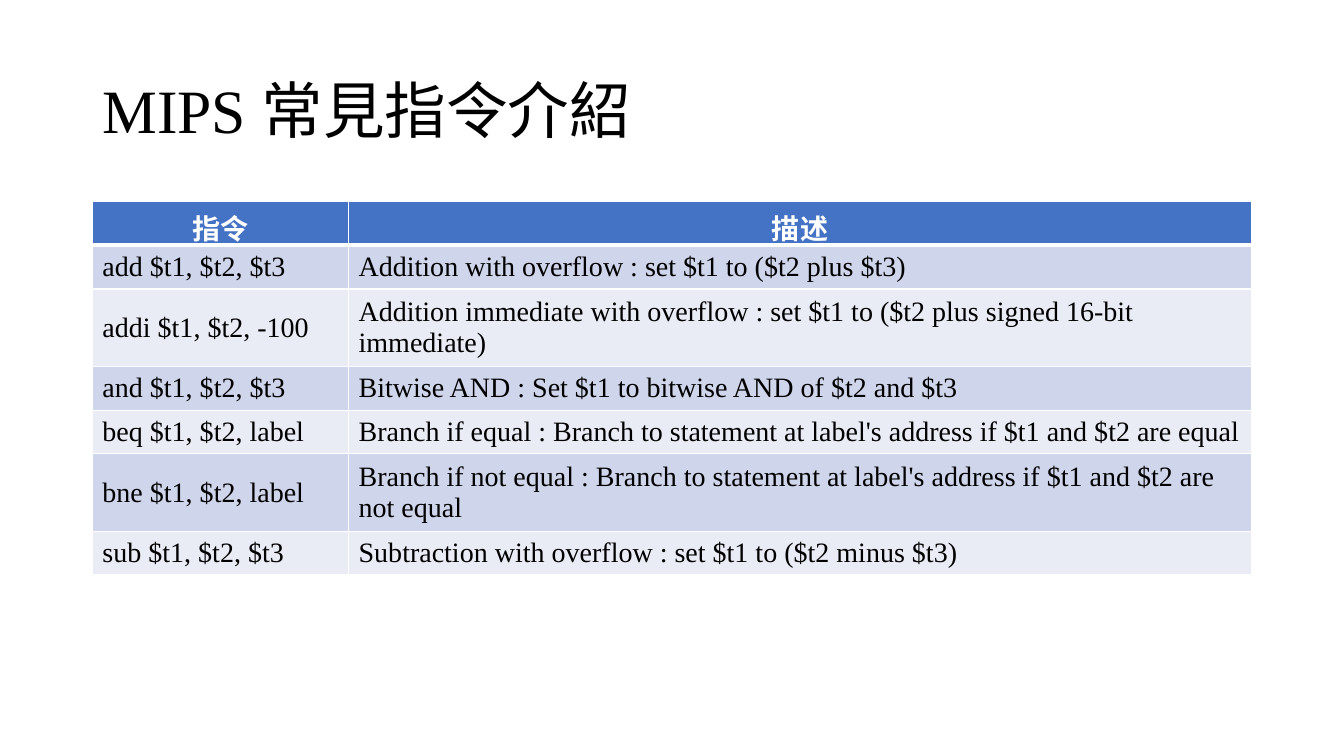
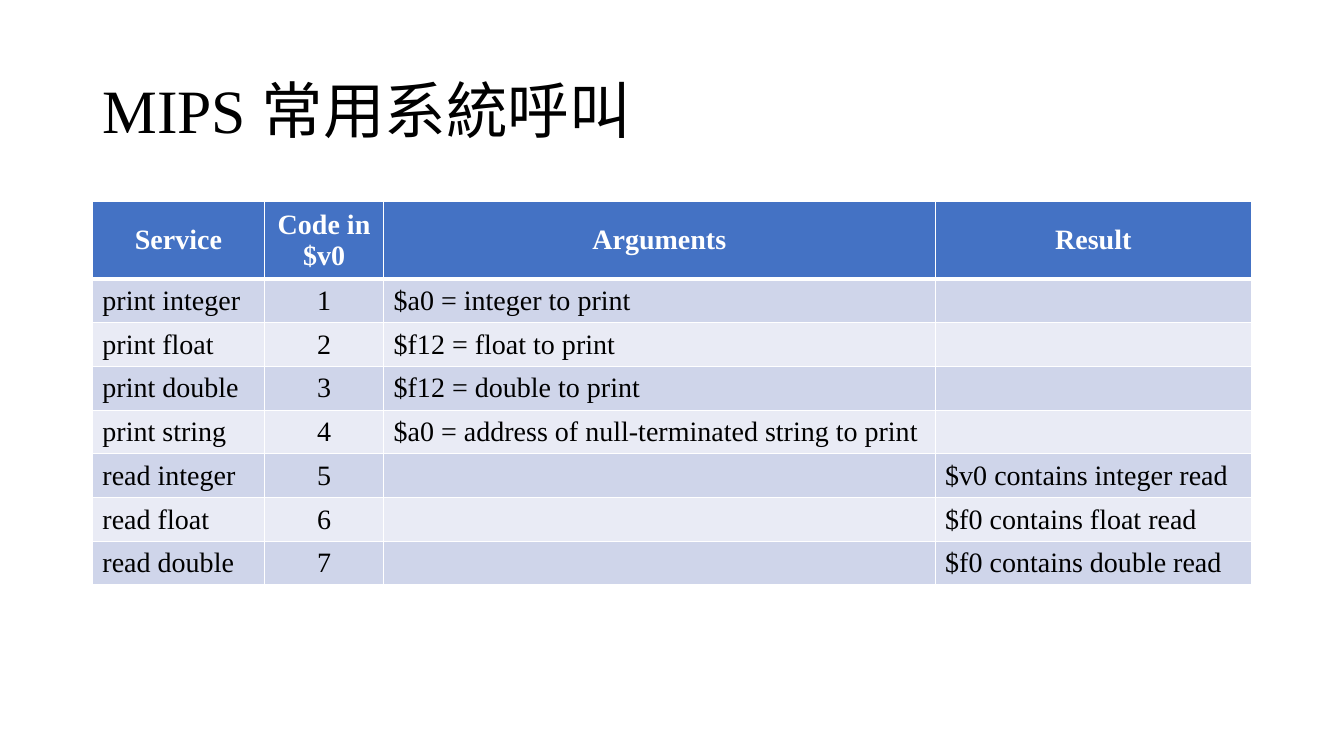
from lxml import etree
from pptx import Presentation
from pptx.dml.color import RGBColor
from pptx.enum.text import MSO_ANCHOR, PP_ALIGN
from pptx.oxml.ns import qn
from pptx.util import Pt

MIDDLE = MSO_ANCHOR.MIDDLE
LEFT, CENTER = PP_ALIGN.LEFT, PP_ALIGN.CENTER
FONT = "Times New Roman"
WHITE, BLACK, BLUE = "FFFFFF", "000000", "4472C4"
BANDS = ("CFD5EA", "E9EBF5")
BLANK_LAYOUT = 6
SLIDE_SIZE = (960, 540)
TITLE_BOX = (66, 28.75, 828, 104.4)
TABLE_BOX = (66, 144, 828)
ROW_HEIGHT = 29.5
THIN, THICK = 1, 3

INSTRUCTIONS = [
    ("指令", "描述"),
    ("add $t1, $t2, $t3", "Addition with overflow : set $t1 to ($t2 plus $t3)"),
    ("addi $t1, $t2, -100",
     "Addition immediate with overflow : set $t1 to ($t2 plus signed 16-bit immediate)"),
    ("and $t1, $t2, $t3", "Bitwise AND : Set $t1 to bitwise AND of $t2 and $t3"),
    ("beq $t1, $t2, label",
     "Branch if equal : Branch to statement at label's address if $t1 and $t2 are equal"),
    ("bne $t1, $t2, label",
     "Branch if not equal : Branch to statement at label's address if $t1 and $t2 are not equal"),
    ("sub $t1, $t2, $t3", "Subtraction with overflow : set $t1 to ($t2 minus $t3)"),
]
SYSTEM_CALLS = [
    ("Service", "Code in\n$v0", "Arguments", "Result"),
    ("print integer", "1", "$a0 = integer to print", ""),
    ("print float", "2", "$f12 = float to print", ""),
    ("print double", "3", "$f12 = double to print", ""),
    ("print string", "4", "$a0 = address of null-terminated string to print", ""),
    ("read integer", "5", "", "$v0 contains integer read"),
    ("read float", "6", "", "$f0 contains float read"),
    ("read double", "7", "", "$f0 contains double read"),
]


def rgb(value):
    """Turn a hex string into a colour."""
    return RGBColor.from_string(value)


def write_text(frame, text, size, color, bold=False, align=LEFT, spacing=1.0):
    """Write each line of the text as a paragraph with one run."""
    for index, line in enumerate(text.split("\n")):
        paragraph = frame.add_paragraph() if index else frame.paragraphs[0]
        paragraph.alignment = align
        paragraph.line_spacing = spacing
        paragraph.font.size = Pt(size)
        if line:
            run = paragraph.add_run()
            run.text = line
            run.font.name = FONT
            run.font.size = Pt(size)
            run.font.bold = bold
            run.font.color.rgb = rgb(color)


def set_borders(cell, top, bottom):
    """Give a cell white borders, inserted ahead of its fill."""
    properties = cell._tc.get_or_add_tcPr()
    sides = (("a:lnL", THIN), ("a:lnR", THIN), ("a:lnT", top), ("a:lnB", bottom))
    for position, (side, width) in enumerate(sides):
        line = etree.Element(qn(side), w=str(Pt(width)))
        fill = etree.SubElement(line, qn("a:solidFill"))
        etree.SubElement(fill, qn("a:srgbClr"), val=WHITE)
        properties.insert(position, line)


def add_title(slide, text, box):
    """Place the slide title in its box."""
    frame = slide.shapes.add_textbox(*map(Pt, box)).text_frame
    frame.word_wrap = True
    frame.vertical_anchor = MIDDLE
    write_text(frame, text, 44, BLACK, spacing=0.9)


def add_banded_table(slide, rows, widths, centered, box):
    """Place a table with a blue header and banded rows."""
    left, top, width = box
    shape = slide.shapes.add_table(
        len(rows), len(widths), Pt(left), Pt(top), Pt(width), Pt(ROW_HEIGHT * len(rows)))
    table = shape.table
    table.horz_banding = False
    for column, share in zip(table.columns, widths):
        column.width = Pt(width * share / sum(widths))
    for row_index, texts in enumerate(rows):
        header = row_index == 0
        table.rows[row_index].height = Pt(ROW_HEIGHT)
        for column_index, text in enumerate(texts):
            cell = table.cell(row_index, column_index)
            cell.vertical_anchor = MIDDLE
            cell.fill.solid()
            cell.fill.fore_color.rgb = rgb(BLUE if header else BANDS[(row_index - 1) % 2])
            set_borders(cell, THICK if row_index == 1 else THIN, THICK if header else THIN)
            align = CENTER if header or column_index in centered else LEFT
            write_text(cell.text_frame, text, 20, WHITE if header else BLACK, header, align)


def add_table_slide(presentation, title, rows, widths, centered=()):
    """Add a slide with a title above a table."""
    slide = presentation.slides.add_slide(presentation.slide_layouts[BLANK_LAYOUT])
    add_title(slide, title, TITLE_BOX)
    add_banded_table(slide, rows, widths, centered, TABLE_BOX)


def main():
    """Build and save the presentation."""
    presentation = Presentation()
    presentation.slide_width, presentation.slide_height = map(Pt, SLIDE_SIZE)
    add_table_slide(presentation, "MIPS 常見指令介紹", INSTRUCTIONS, (183, 645))
    add_table_slide(presentation, "MIPS 常用系統呼叫", SYSTEM_CALLS, (123, 85, 394, 226), (1,))
    presentation.save("out.pptx")


if __name__ == "__main__":
    main()
